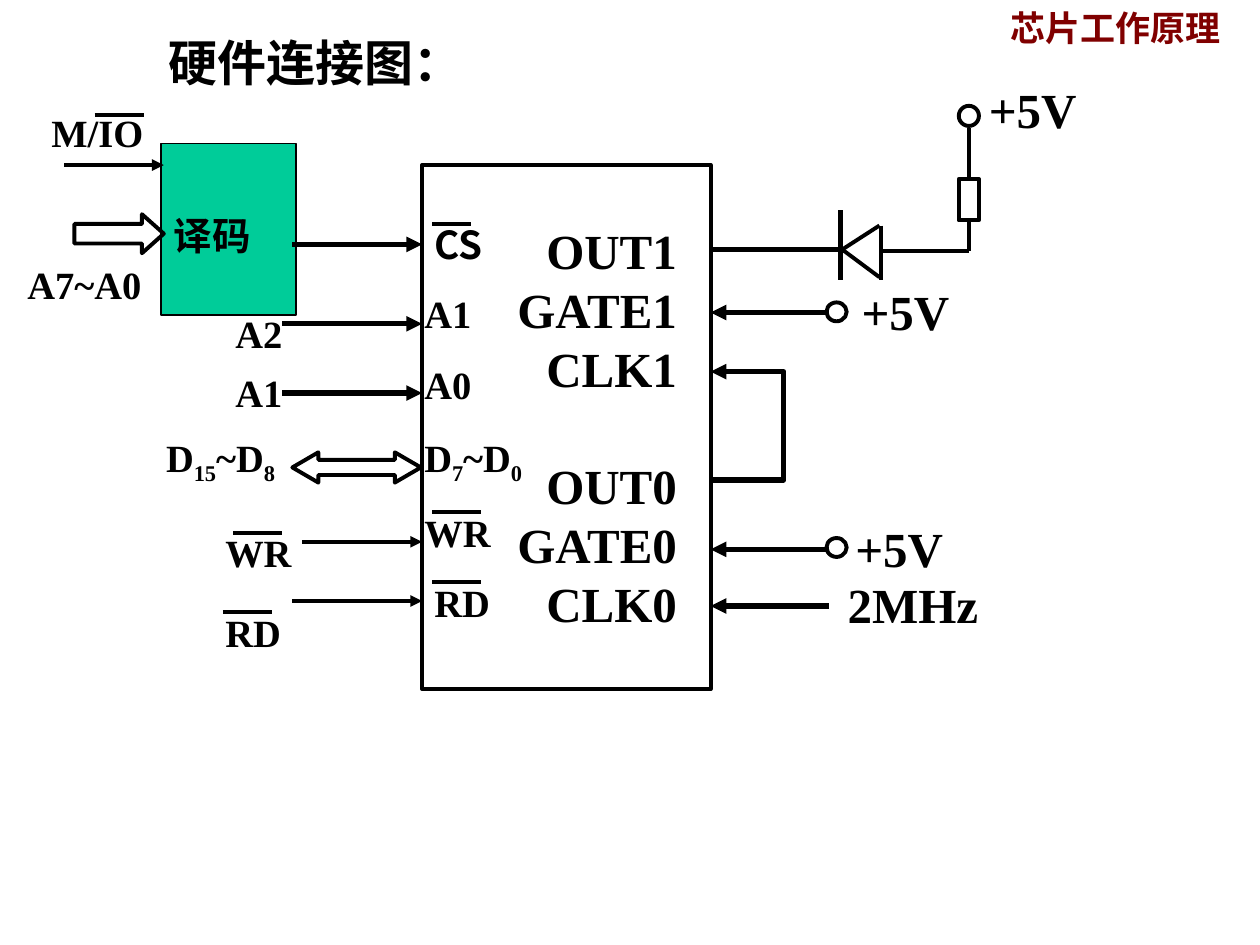
from dataclasses import dataclass

import pptx
import pptx.dml.color
import pptx.enum.shapes
import pptx.enum.text
import pptx.oxml.ns
import pptx.slide
import pptx.util
from lxml import etree

Inches = pptx.util.Inches
Pt = pptx.util.Pt
SHAPE = pptx.enum.shapes.MSO_SHAPE
ALIGN = pptx.enum.text.PP_ALIGN
qn = pptx.oxml.ns.qn

BLACK = pptx.dml.color.RGBColor(0x00, 0x00, 0x00)
MAROON = pptx.dml.color.RGBColor(0x80, 0x00, 0x00)
GREEN = pptx.dml.color.RGBColor(0x00, 0xCC, 0x99)
SERIF = "Times New Roman"
SANS = "Noto Sans CJK SC"
SIGNAL, PORT = 22, 28
LABEL_HEIGHT = {SIGNAL: 0.47, PORT: 0.57}
THIN, THICK = 2.25, 3


def style(para, size, face, color=BLACK):
    para.font.size = Pt(size)
    para.font.name = face
    para.font.bold = True
    para.font.color.rgb = color
    if face == SERIF:
        para.line_spacing = Pt(1.2 * size)
    for span in para.runs:
        east_asian = etree.SubElement(span.font._element, qn("a:ea"))
        east_asian.set("typeface", SANS)


def set_frame(frame):
    frame.word_wrap = True
    frame.vertical_anchor = pptx.enum.text.MSO_ANCHOR.MIDDLE


def add_arrowhead(line):
    head = etree.SubElement(line._get_or_add_ln(), qn("a:tailEnd"))
    head.set("type", "triangle")


@dataclass
class Region:
    """A part of the page; offsets given to its methods count from its corner."""
    page: pptx.slide.Slide
    left: float
    top: float
    width: float
    height: float

    def place(self, x, y):
        return Inches(self.left + x), Inches(self.top + y)

    def label(self, text, x, y, size=SIGNAL, width=1.57, face=SERIF):
        """Add a label; digits after an underscore are set as subscripts."""
        box = self.page.shapes.add_textbox(
            *self.place(x, y), Inches(width), Inches(LABEL_HEIGHT[size]))
        set_frame(box.text_frame)
        para = box.text_frame.paragraphs[0]
        for index, part in enumerate(text.split("_")):
            span = para.add_run()
            span.text = part
            if index % 2:
                span.font._element.set("baseline", "-25000")
        style(para, size, face)

    def wire(self, start, end, weight=THIN, arrow=False):
        connector = self.page.shapes.add_connector(
            pptx.enum.shapes.MSO_CONNECTOR.STRAIGHT,
            *self.place(*start), *self.place(*end))
        connector.line.color.rgb = BLACK
        connector.line.width = Pt(weight)
        etree.SubElement(connector._element.spPr, qn("a:effectLst"))
        if arrow:
            add_arrowhead(connector.line)
        return connector

    def overbar(self, x, y, length=0.39):
        self.wire((x, y), (x + length, y))

    def shape(self, kind, x, y, width, height, weight=THIN):
        shape = self.page.shapes.add_shape(
            kind, *self.place(x, y), Inches(width), Inches(height))
        shape.shadow.inherit = False
        shape.fill.background()
        shape.line.color.rgb = BLACK
        shape.line.width = Pt(weight)
        return shape


def add_titles(page):
    title = page.shapes.title
    title.left, title.top = Inches(1.24), Inches(0.21)
    title.width, title.height = Inches(2.7), Inches(0.57)
    header = page.shapes.add_textbox(
        Inches(7.92), Inches(0), Inches(2.05), Inches(0.44))
    for shape, text, size, face, color in (
            (title, "硬件连接图：", PORT, SANS, BLACK),
            (header, "芯片工作原理", 20, SERIF, MAROON)):
        set_frame(shape.text_frame)
        shape.text_frame.text = text
        para = shape.text_frame.paragraphs[0]
        para.alignment = ALIGN.LEFT
        style(para, size, face, color)


def add_chip(area):
    area.shape(SHAPE.RECTANGLE, 0, 0, area.width, area.height)
    for text, x, y, face in (
            ("CS", 0, 0.39, SANS), ("A1", -0.08, 0.94, SERIF),
            ("A0", -0.08, 1.5, SERIF), ("D_7_~D_0", -0.08, 2.13, SERIF),
            ("WR", -0.08, 2.68, SERIF), ("RD", 0, 3.23, SERIF)):
        area.label(text, x, y, face=face)
    area.overbar(0.08, 0.47, 0.31)
    area.overbar(0.08, 2.75)
    area.overbar(0.08, 3.31)

    ports = area.page.shapes.add_textbox(
        *area.place(0.53, 0.39), Inches(1.59), Inches(3.37))
    set_frame(ports.text_frame)
    ports.text_frame.text = "OUT1\nGATE1\nCLK1\nOUT0\nGATE0\nCLK0"
    for para in ports.text_frame.paragraphs:
        para.alignment = ALIGN.RIGHT
        style(para, PORT, SERIF)
    ports.text_frame.paragraphs[3].space_before = Pt(1.2 * PORT)


def add_decoder(area):
    block = area.shape(SHAPE.RECTANGLE, 1.16, 0.33, 1.07, 1.36, weight=1)
    block.fill.solid()
    block.fill.fore_color.rgb = GREEN
    set_frame(block.text_frame)
    block.text_frame.margin_top = Inches(0.14)
    block.text_frame.text = "译码"
    para = block.text_frame.paragraphs[0]
    para.alignment = ALIGN.LEFT
    style(para, SIGNAL, SANS)

    address = area.shape(SHAPE.RIGHT_ARROW, 0.47, 0.89, 0.71, 0.31)
    address.adjustments[1] = 0.56
    area.wire((0.39, 0.5), (1.18, 0.5), arrow=True)
    area.label("M/IO", 0.19, 0)
    area.overbar(0.63, 0.1)
    area.label("A7~A0", 0, 1.21)
    area.wire((2.2, 1.13), (area.width, 1.13), THICK, arrow=True)


def add_bus(area):
    for start, y, weight in ((1.02, 0.16, THICK), (1.02, 0.71, THICK),
                             (1.18, 1.89, THIN), (1.1, 2.36, THIN)):
        area.wire((start, y), (area.width, y), weight, arrow=True)
    data = area.shape(SHAPE.LEFT_RIGHT_ARROW, 1.1, 1.18, 1.02, 0.24)
    data.adjustments[1] = 0.86
    for text, x, y in (("A2", 0.55, 0), ("A1", 0.55, 0.47),
                       ("D_15_~D_8", 0, 1.03),
                       ("WR", 0.47, 1.74), ("RD", 0.47, 2.37)):
        area.label(text, x, y)
    area.overbar(0.63, 1.82)
    area.overbar(0.55, 2.45)


def add_counter_inputs(area):
    for text, y, x in (("+5V", 0.5, 1.1), ("+5V", 2.38, 1.05),
                       ("2MHz", 2.83, 0.99)):
        area.wire((0.94, y), (0, y), THICK, arrow=True)
        area.label(text, x, y - 0.3, PORT, width=1.3)
    for y in (0.42, 2.29):
        area.shape(SHAPE.OVAL, 0.92, y, 0.16, 0.15)

    builder = area.page.shapes.build_freeform(*area.place(0, 1.83))
    builder.add_line_segments(
        [area.place(x, y) for x, y in ((0.58, 1.83), (0.58, 0.97), (0, 0.97))],
        close=False)
    cascade = builder.convert_to_shape()
    cascade.shadow.inherit = False
    cascade.fill.background()
    cascade.line.color.rgb = BLACK
    cascade.line.width = Pt(THICK)
    add_arrowhead(cascade.line)


def add_diode_branch(area):
    """Output wire, diode, resistor and supply terminal."""
    area.wire((0, 1.4), (1.06, 1.4), THICK)
    area.wire((1.03, 1.09), (1.03, 1.64), THICK)
    for start, end in (((1.35, 1.21), (1.35, 1.64)),
                       ((1.03, 1.39), (1.34, 1.62)),
                       ((1.03, 1.41), (1.34, 1.21)),
                       ((1.35, 1.41), (2.05, 1.41))):
        area.wire(start, end)
    resistor = area.shape(SHAPE.RECTANGLE, 1.97, 0.84, 0.16, 0.33)
    area.shape(SHAPE.OVAL, 1.97, 0.26, 0.16, 0.16)
    area.wire((2.05, 0.44), (2.05, 0.84)).end_connect(resistor, 0)
    area.wire((2.05, 1.17), (2.05, 1.41)).begin_connect(resistor, 2)
    area.label("+5V", 2.11, 0, PORT, width=1)


def main():
    deck = pptx.Presentation()
    deck.slide_width, deck.slide_height = Inches(10), Inches(7.5)
    page = deck.slides.add_slide(deck.slide_layouts[5])
    add_titles(page)
    add_chip(Region(page, 3.35, 1.31, 2.29, 4.16))
    add_decoder(Region(page, 0.12, 0.81, 3.23, 1.69))
    add_bus(Region(page, 1.22, 2.41, 2.13, 2.84))
    add_counter_inputs(Region(page, 5.64, 1.98, 2.29, 3.13))
    add_diode_branch(Region(page, 5.64, 0.58, 3.11, 1.64))
    deck.save("out.pptx")


if __name__ == "__main__":
    main()
